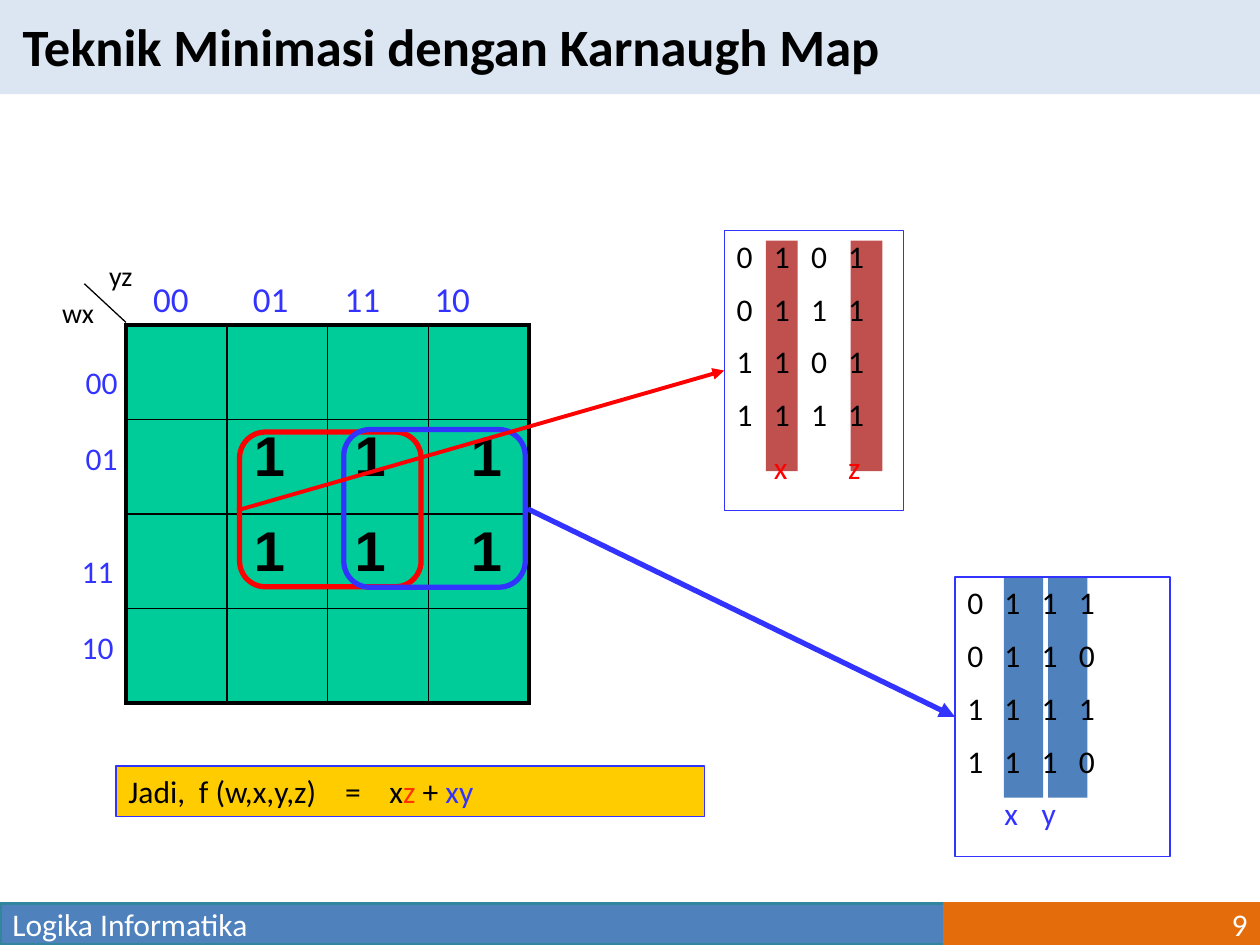
"""Build the Karnaugh map minimisation slide."""
from dataclasses import dataclass
from typing import Any, NamedTuple

from lxml import etree
from pptx import Presentation
from pptx.dml.color import RGBColor
from pptx.enum import shapes, text
from pptx.oxml import ns
from pptx.util import Cm, Length, Pt


@dataclass(frozen=True)
class Theme:
    """Colours, fonts and type sizes."""
    black: str = "000000"
    white: str = "FFFFFF"
    blue: str = "3333FF"
    red: str = "FF0000"
    orange_red: str = "FF3300"
    banner: str = "DCE6F2"
    footer: str = "4F81BD"
    footer_line: str = "31859C"
    number: str = "E46C0A"
    cell: str = "00CC99"
    red_bar: str = "C0504D"
    blue_bar: str = "4F81BD"
    formula: str = "FFCC00"
    font: str = "Calibri"
    cell_font: str = "Arial"
    title: float = 30
    cell_size: float = 32
    heading: float = 20
    body: float = 18
    small: float = 16


THEME = Theme()
LEFT, CENTER, RIGHT = text.PP_ALIGN.LEFT, text.PP_ALIGN.CENTER, text.PP_ALIGN.RIGHT
TOP, MIDDLE = text.MSO_ANCHOR.TOP, text.MSO_ANCHOR.MIDDLE
RECT, ROUNDED = shapes.MSO_SHAPE.RECTANGLE, shapes.MSO_SHAPE.ROUNDED_RECTANGLE


class Area(NamedTuple):
    """Left, top, width and height in centimetres."""
    left: float
    top: float
    width: float
    height: float

    def lengths(self) -> list[Length]:
        """Give the four measures as lengths."""
        return [Cm(value) for value in self]


class Span(NamedTuple):
    """A run of text in one colour."""
    words: str
    color: str = THEME.black


@dataclass(frozen=True)
class Style:
    """How the paragraphs of a box are set."""
    size: float = THEME.body
    align: Any = LEFT
    gap: float = 0
    tabs: tuple[float, ...] = ()
    bold: bool = False
    font: str = THEME.font


@dataclass(frozen=True)
class TermTable:
    """A framed list of minterms with its constant columns barred."""
    area: Area
    color: str
    bar_color: str
    bars: tuple[Area, ...]
    rows: tuple[str, ...]
    term: str


@dataclass(frozen=True)
class Arrow:
    """A straight line between two points."""
    start: tuple[float, float]
    end: tuple[float, float]
    color: str
    weight: float
    head: bool = True


def rgb(color: str) -> RGBColor:
    """Turn a hex string into a colour."""
    return RGBColor.from_string(color)


def write(frame: Any, lines: list[list[Span]], style: Style = Style(), anchor: Any = TOP) -> None:
    """Write paragraphs run by run into a text frame."""
    frame.word_wrap, frame.vertical_anchor = True, anchor
    for index, spans in enumerate(lines):
        para = frame.add_paragraph() if index else frame.paragraphs[0]
        para.alignment = style.align
        if index and style.gap:
            para.space_before = Pt(style.gap)
        if style.tabs:
            stops = etree.SubElement(para._p.get_or_add_pPr(), ns.qn("a:tabLst"))
            for stop in style.tabs:
                etree.SubElement(stops, ns.qn("a:tab"), pos=str(Cm(stop)), algn="l")
        for span in spans:
            run = para.add_run()
            run.text = span.words
            run.font.name, run.font.size, run.font.bold = style.font, Pt(style.size), style.bold
            run.font.color.rgb = rgb(span.color)


def draw_shape(parent: Any, area: Area, fill: str = "", line: str = "",
               weight: float = 0.75, kind: Any = RECT) -> Any:
    """Draw a flat shape with optional fill and line."""
    shape = parent.shapes.add_shape(kind, *area.lengths())
    shape.shadow.inherit = False
    if fill:
        shape.fill.solid()
        shape.fill.fore_color.rgb = rgb(fill)
    else:
        shape.fill.background()
    if line:
        shape.line.color.rgb, shape.line.width = rgb(line), Pt(weight)
    else:
        shape.line.fill.background()
    return shape


def draw_label(page: Any, area: Area, lines: list[list[Span]], style: Style) -> None:
    """Add a plain text box."""
    write(page.shapes.add_textbox(*area.lengths()).text_frame, lines, style)


def draw_arrow(page: Any, arrow: Arrow) -> None:
    """Draw a line, with an arrowhead if it has one."""
    points = [Cm(value) for value in (*arrow.start, *arrow.end)]
    line = page.shapes.add_connector(shapes.MSO_CONNECTOR.STRAIGHT, *points)
    line.line.color.rgb, line.line.width = rgb(arrow.color), Pt(arrow.weight)
    if arrow.head:
        etree.SubElement(line.line._get_or_add_ln(), ns.qn("a:tailEnd"), type="triangle")
    etree.SubElement(line.element.spPr, ns.qn("a:effectLst"))


def draw_terms(page: Any, terms: TermTable) -> None:
    """Draw the bars and the framed minterms as one group."""
    group = page.shapes.add_group_shape()
    for bar in terms.bars:
        draw_shape(group, bar, terms.bar_color)
    box = draw_shape(group, terms.area, line=terms.color)
    lines = [[Span("\t".join(row))] for row in terms.rows] + [[Span(terms.term, terms.color)]]
    write(box.text_frame, lines, Style(gap=8.6, tabs=(0.75, 1.5, 2.25)))


def add_border(cell: Any, side: str, weight: float) -> None:
    """Give one side of a cell a black line."""
    line = etree.SubElement(cell._tc.get_or_add_tcPr(), ns.qn(f"a:ln{side}"), w=str(Pt(weight)))
    fill = etree.SubElement(line, ns.qn("a:solidFill"))
    etree.SubElement(fill, ns.qn("a:srgbClr"), val=THEME.black)


def draw_map(page: Any, area: Area, rows: list[list[str]]) -> None:
    """Draw the Karnaugh map with a heavy outer border."""
    last = len(rows) - 1
    table = page.shapes.add_table(len(rows), len(rows), *area.lengths()).table
    table.first_row = table.horz_banding = False
    for r, row in enumerate(rows):
        for c, value in enumerate(row):
            cell = table.cell(r, c)
            for side, outer in (("L", c == 0), ("R", c == last), ("T", r == 0), ("B", r == last)):
                add_border(cell, side, 2.25 if outer else 1)
            cell.fill.solid()
            cell.fill.fore_color.rgb = rgb(THEME.cell)
            if value:
                write(cell.text_frame, [[Span(value)]],
                      Style(THEME.cell_size, CENTER, bold=True, font=THEME.cell_font))


def draw_frame(page: Any) -> None:
    """Draw the title banner and the footer."""
    banner = draw_shape(page, Area(0, 0, 25.4, 1.9), THEME.banner)
    title = page.shapes.title
    banner.element.addnext(title.element)
    title.left, title.top, title.width, title.height = Area(0.2, 0.15, 18, 1.55).lengths()
    write(title.text_frame, [[Span("Teknik Minimasi dengan Karnaugh Map")]],
          Style(THEME.title, bold=True))
    title.text_frame.auto_size = text.MSO_AUTO_SIZE.NONE
    for left, width, fill, line, words, align in (
            (0, 19.05, THEME.footer, THEME.footer_line, "Logika Informatika", LEFT),
            (19.05, 6.35, THEME.number, THEME.number, "9", RIGHT)):
        box = draw_shape(page, Area(left, 18.21, width, 0.84), fill, line, 2)
        write(box.text_frame, [[Span(words, THEME.white)]], Style(align=align), MIDDLE)


def main() -> None:
    """Build and save the deck."""
    deck = Presentation()
    deck.slide_width, deck.slide_height = Cm(25.4), Cm(19.05)
    page = deck.slides.add_slide(deck.slide_layouts.get_by_name("Title Only"))
    draw_frame(page)
    ones = ["", "1 ", "1 ", " 1"]
    draw_map(page, Area(2.54, 6.55, 8.13, 7.62), [[""] * 4, ones, ones, [""] * 4])
    draw_label(page, Area(2.54, 5.46, 8.36, 1.09), [[Span("\t00\t01\t11\t10", THEME.blue)]],
               Style(THEME.heading, tabs=(0.3, 2.31, 4.16, 5.97)))
    for left, top, codes in ((1.35, 7.19, ("00", "01")), (1.27, 11, ("11", "10"))):
        draw_label(page, Area(left, top, 1.4, 2.54), [[Span(code, THEME.blue)] for code in codes],
                   Style(align=CENTER, gap=22))
    draw_arrow(page, Arrow((2.54, 6.5), (1.7, 5.72), THEME.black, 0.75, head=False))
    for left, top, name in ((1.7, 5.08, "yz"), (0.84, 5.84, "wx")):
        draw_label(page, Area(left, top, 1.47, 0.94), [[Span(name)]], Style(THEME.small, CENTER))
    for area, color in ((Area(4.83, 8.71, 3.66, 3.12), THEME.red),
                        (Area(6.93, 8.66, 3.66, 3.18), THEME.blue)):
        draw_shape(page, area, line=color, weight=3, kind=ROUNDED)
    draw_terms(page, TermTable(
        Area(14.6, 4.65, 3.61, 5.64), THEME.red, THEME.red_bar,
        tuple(Area(left, 4.85, 0.64, 4.65) for left in (17.15, 15.44)),
        ("0101", "0111", "1101", "1111"), "\tx\t\tz"))
    page.shapes[-1].shapes[-1].line.color.rgb = rgb(THEME.blue)
    draw_arrow(page, Arrow((4.78, 10.29), (14.6, 7.47), THEME.red, 2.25))
    draw_terms(page, TermTable(
        Area(19.25, 11.63, 4.34, 5.64), THEME.blue, THEME.blue_bar,
        tuple(Area(left, 11.63, 0.79, 4.45) for left in (21.13, 20.24)),
        ("0111", "0110", "1111", "1110"), "\tx\ty"))
    draw_arrow(page, Arrow((10.64, 10.26), (19.25, 14.45), THEME.blue, 3))
    formula = draw_shape(page, Area(2.34, 15.44, 11.86, 1.02), THEME.formula, THEME.blue)
    write(formula.text_frame, [[Span("Jadi,\tf (w,x,y,z)\t=\tx"), Span("z ", THEME.orange_red),
                                Span("+ "), Span("xy", THEME.blue)]],
          Style(tabs=(1.42, 4.37, 5.26)))
    deck.save("out.pptx")


if __name__ == "__main__":
    main()
